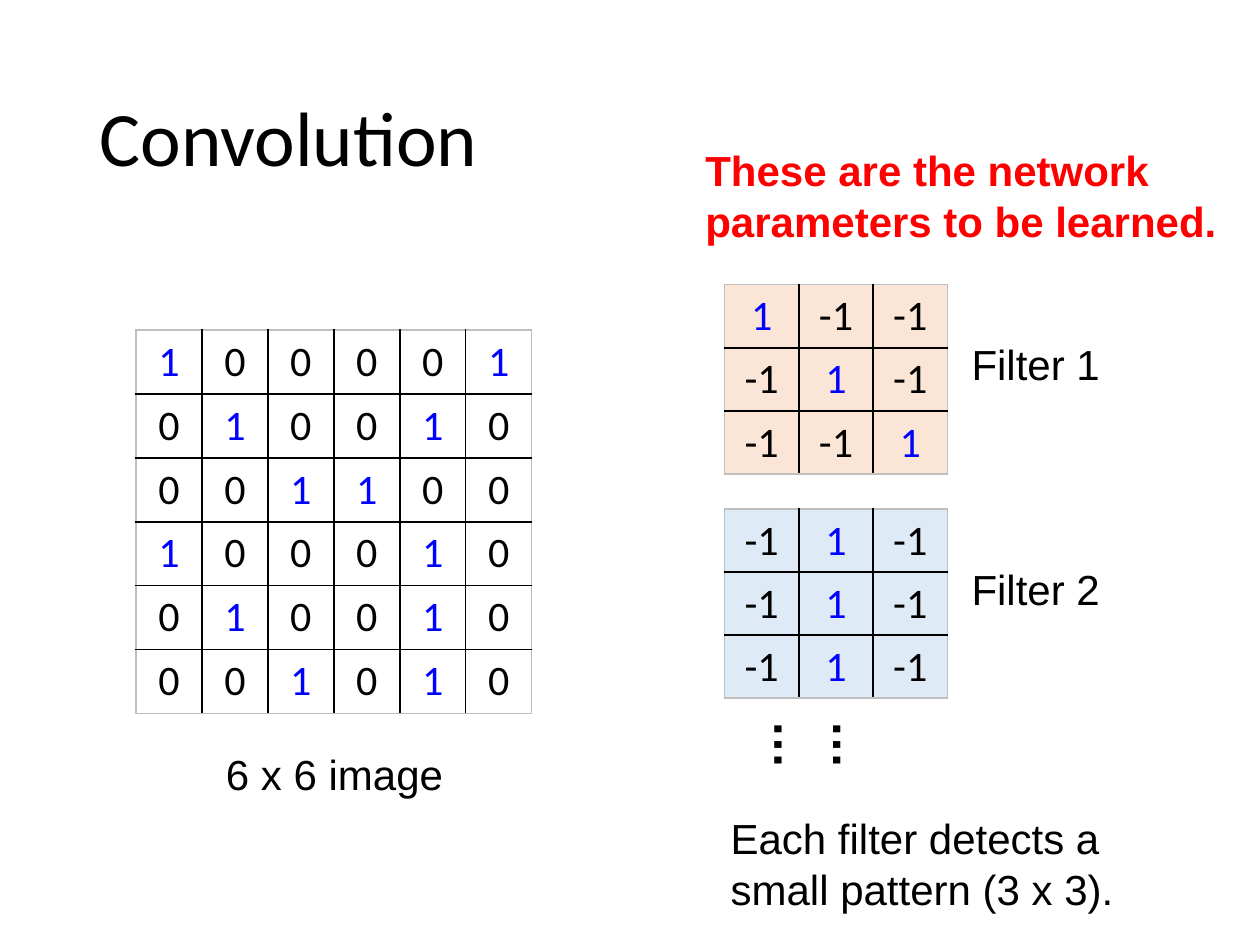
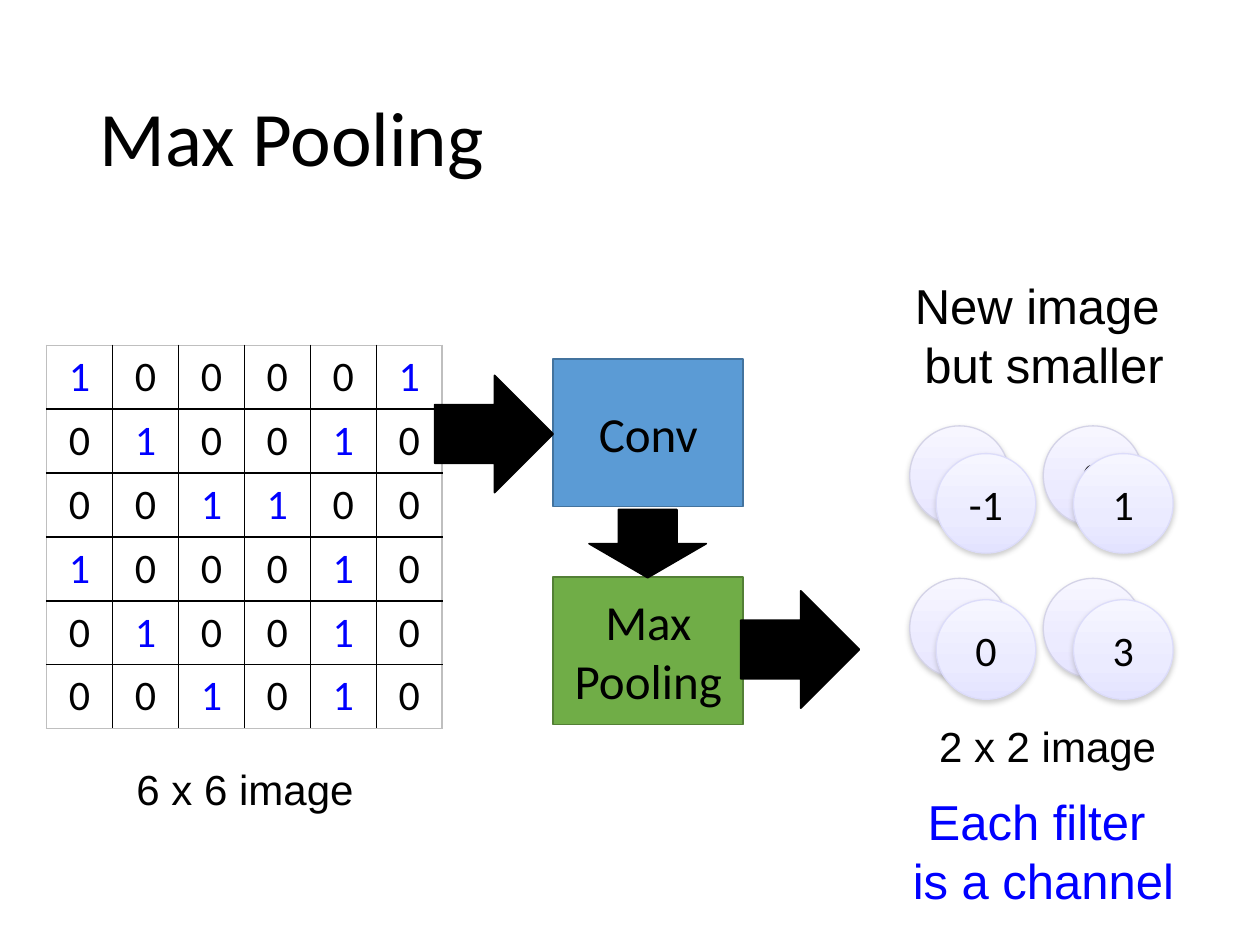
from itertools import product

from lxml import etree
from pptx import Presentation
from pptx import util as u
from pptx.dml.color import RGBColor
from pptx.enum import shapes, text
from pptx.oxml import ns

COLS, ROWS = 100, 75
BLACK, BLUE, RED, EDGE = "000000", "0000FF", "FF0000", "BFBFBF"
PEACH, SKY, CONV, POOL = "FBE5D6", "DEEBF7", "5B9BD5", "70AD47"
CONV_LINE, POOL_LINE = "43739E", "538035"
BACK = dict(stops=("F7F6FF", "ECEBFF", "E5E3FF"), line="D4D3E7")
FRONT = dict(stops=("F6F6FF", "EBEBFF", "E3E3FF"), line="DCDCFA")
LEFT, CENTER = text.PP_ALIGN.LEFT, text.PP_ALIGN.CENTER
MSO = shapes.MSO_SHAPE

IMAGE = [
    [1, 0, 0, 0, 0, 1],
    [0, 1, 0, 0, 1, 0],
    [0, 0, 1, 1, 0, 0],
    [1, 0, 0, 0, 1, 0],
    [0, 1, 0, 0, 1, 0],
    [0, 0, 1, 0, 1, 0],
]
DIAGONAL = [[1, -1, -1], [-1, 1, -1], [-1, -1, 1]]
VERTICAL = [[-1, 1, -1]] * 3

prs = Presentation()
prs.slide_width, prs.slide_height = u.Inches(10), u.Inches(7.5)


def rgb(value):
    """Turn a hex string into a colour."""
    return RGBColor.from_string(value)


def place(box):
    """Turn a box in grid columns and rows into slide lengths."""
    col, row = prs.slide_width / COLS, prs.slide_height / ROWS
    x, y, w, h = box
    return int(x * col), int(y * row), int(w * col), int(h * row)


def within(box, x, y, w, h):
    """Shift a box by the corner of its region."""
    return box[0] + x, box[1] + y, w, h


def write(tf, content, size=24, font="Arial", color=BLACK, bold=False, align=CENTER):
    """Fill a text frame, one paragraph per line of content."""
    for i, line in enumerate(content.split("\n")):
        p = tf.add_paragraph() if i else tf.paragraphs[0]
        p.alignment = align
        r = p.add_run()
        r.text = line
        r.font.size, r.font.name, r.font.bold = u.Pt(size), font, bold
        r.font.color.rgb = rgb(color)
    return tf


def add_label(s, box, content, rotation=0, **fmt):
    """Add a wrapping text box."""
    sp = s.shapes.add_textbox(*place(box))
    sp.rotation = rotation
    tf = write(sp.text_frame, content, **fmt)
    tf.word_wrap = True
    tf.auto_size = text.MSO_AUTO_SIZE.SHAPE_TO_FIT_TEXT


def add_block(s, kind, box, fill, line, content="", rotation=0, size=28):
    """Add a filled preset shape with optional centred text."""
    sp = s.shapes.add_shape(kind, *place(box))
    sp.shadow.inherit = False
    sp.rotation = rotation
    sp.fill.solid()
    sp.fill.fore_color.rgb = rgb(fill)
    sp.line.color.rgb, sp.line.width = rgb(line), u.Pt(1)
    if content:
        write(sp.text_frame, content, size=size, font="Calibri")
    return sp


def add_circle(s, box, content, stops, line):
    """Add a softly shaded circle holding one value."""
    sp = add_block(s, MSO.OVAL, box, stops[0], line, content, size=24)
    sp.line.width = u.Pt(0.75)
    marks = "".join(
        f'<a:gs pos="{pos}000"><a:srgbClr val="{color}"/></a:gs>'
        for pos, color in zip((0, 65, 100), stops))
    gradient = (f'<a:gradFill {ns.nsdecls("a")}><a:gsLst>{marks}</a:gsLst>'
                '<a:lin ang="5400000" scaled="0"/></a:gradFill>')
    pr = sp.fill._xPr
    pr.replace(pr.find(ns.qn("a:solidFill")), etree.fromstring(gradient))
    shadow = (f'<a:outerShdw {ns.nsdecls("a")} blurRad="{u.Pt(3.1)}" dist="{u.Pt(1.6)}" '
              'dir="5400000" rotWithShape="0"><a:srgbClr val="808080">'
              '<a:alpha val="38000"/></a:srgbClr></a:outerShdw>')
    pr.find(ns.qn("a:effectLst")).append(etree.fromstring(shadow))


def set_borders(cell, colors):
    """Draw the left, right, top and bottom borders of a cell."""
    for i, (side, color) in enumerate(zip("LRTB", colors)):
        ln = (f'<a:ln{side} {ns.nsdecls("a")} w="{u.Pt(1)}"><a:solidFill>'
              f'<a:srgbClr val="{color}"/></a:solidFill></a:ln{side}>')
        cell._tc.get_or_add_tcPr().insert(i, etree.fromstring(ln))


def add_matrix(s, box, values, fill=None):
    """Add a square table of numbers with the ones in blue."""
    n = len(values)
    table = s.shapes.add_table(n, n, *place(box)).table
    table.first_row = table.horz_banding = False
    for i, j in product(range(n), repeat=2):
        cell, value = table.cell(i, j), values[i][j]
        write(cell.text_frame, str(value), font="Calibri",
              color=BLUE if value == 1 else BLACK)
        if fill:
            cell.fill.solid()
            cell.fill.fore_color.rgb = rgb(fill)
        else:
            cell.fill.background()
        outer = j == 0, j == n - 1, i == 0, i == n - 1
        set_borders(cell, [EDGE if edge else BLACK for edge in outer])


def add_titled_slide(title):
    """Add a title-only slide and format its title."""
    s = prs.slides.add_slide(prs.slide_layouts[5])
    sp = s.shapes.title
    sp.left, sp.top, sp.width, sp.height = place((6.9, 4, 86.2, 14.5))
    tf = write(sp.text_frame, title, size=44, font="Calibri", align=LEFT)
    tf.vertical_anchor = text.MSO_ANCHOR.MIDDLE
    tf.auto_size = text.MSO_AUTO_SIZE.NONE
    tf.paragraphs[0].line_spacing = 0.9
    return s


def add_image_panel(s, box):
    """Place the input matrix above its caption."""
    add_matrix(s, within(box, 0, 0, 31.4, 30.4), IMAGE)
    add_label(s, within(box, 2.9, 32.7, 25.7, 5.1), "6 x 6 image")


def add_filter_panel(s, box):
    """Place the filters with their names and notes."""
    add_label(s, within(box, 0, 0, 43.3, 9.1),
              "These are the network parameters to be learned.",
              color=RED, bold=True, align=LEFT)
    filters = (DIAGONAL, PEACH), (VERTICAL, SKY)
    for i, (values, fill) in enumerate(filters):
        y = 11.6 + i * 17.8
        add_matrix(s, within(box, 2.5, y, 17.7, 15), values, fill)
        add_label(s, within(box, 19.3, y + 3.8, 15.8, 5.1), f"Filter {i + 1}")
    add_label(s, within(box, 8.8, 46.2, 7.7, 5.7), "……", rotation=90,
              size=28, bold=True, align=LEFT)
    add_label(s, within(box, 2, 53, 38.9, 9.1),
              "Each filter detects a small pattern (3 x 3).", align=LEFT)


def add_pipeline(s, box):
    """Place the two processing steps and the arrows around them."""
    steps = ("Conv", CONV, CONV_LINE), ("Max\nPooling", POOL, POOL_LINE)
    for i, (name, fill, line) in enumerate(steps):
        add_block(s, MSO.RECTANGLE, within(box, 9.4, i * 17.3, 15.1, 11.7),
                  fill, line, name)
    arrows = (0, 1.3, 9.4, 9.3, 0), (24.3, 18.4, 9.4, 9.3, 0), (14.2, 10, 5.4, 9.3, 90)
    for x, y, w, h, turn in arrows:
        add_block(s, MSO.RIGHT_ARROW, within(box, x, y, w, h), BLACK, BLACK, rotation=turn)


def add_pooled_panel(s, box):
    """Place the stacked channels between their captions."""
    add_label(s, within(box, 0, 0, 24.9, 10.4), "New image \nbut smaller", size=28)
    layers = (
        (1.8, 12.4, 10.6, 12.1, ("3", "0", "", ""), BACK),
        (3.9, 14.6, 10.9, 11.6, ("-1", "1", "0", "3"), FRONT),
    )
    for x, y, dx, dy, values, style in layers:
        for (i, j), value in zip(product(range(2), repeat=2), values):
            add_circle(s, within(box, x + j * dx, y + i * dy, 7.9, 7.9), value, **style)
    add_label(s, within(box, -0.1, 35.3, 25.7, 5.1), "2 x 2 image")
    add_label(s, within(box, 0, 40.9, 24.8, 10.5), "Each filter \nis a channel",
              size=28, color=BLUE)


def main():
    """Build both slides and save them."""
    s = add_titled_slide("Convolution")
    add_image_panel(s, (10.8, 26.2))
    add_filter_panel(s, (55, 11))
    s = add_titled_slide("Max Pooling")
    add_image_panel(s, (3.7, 27.4))
    add_pooled_panel(s, (70.4, 21.4))
    add_pipeline(s, (34.5, 28.5))
    prs.save("out.pptx")


if __name__ == "__main__":
    main()
